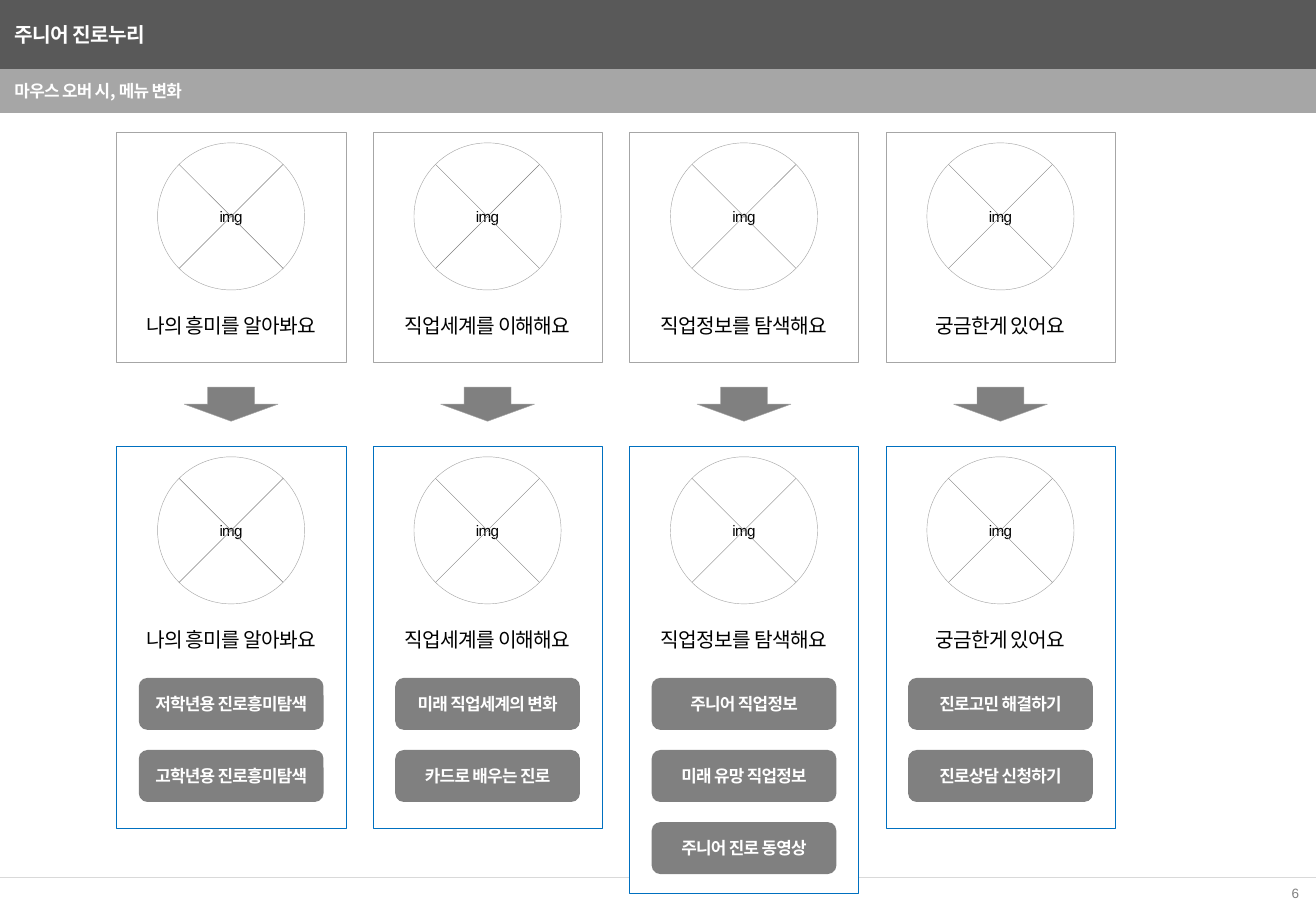
import math
import pptx
import pptx.util
import pptx.dml.color
import pptx.enum.shapes
import pptx.enum.text
import pptx.oxml
import pptx.oxml.ns

TITLE = "주니어 진로누리"
NOTE = "마우스 오버 시, 메뉴 변화"
PAGE = "6"
MENUS = [
    ("나의 흥미를 알아봐요", ["저학년용 진로흥미탐색", "고학년용 진로흥미탐색"]),
    ("직업세계를 이해해요", ["미래 직업세계의 변화", "카드로 배우는 진로"]),
    ("직업정보를 탐색해요", ["주니어 직업정보", "미래 유망 직업정보", "주니어 진로 동영상"]),
    ("궁금한게 있어요", ["진로고민 해결하기", "진로상담 신청하기"]),
]


class Theme:
    """Colours, fonts and type sizes."""
    dark, mid, gray, pale = "595959", "808080", "A6A6A6", "D9D9D9"
    blue, white, black = "0070C0", "FFFFFF", "000000"
    latin, asian = "Arial", "Noto Sans CJK KR"
    head, body, small, page = 12, 10, 9, 8
    hair = 0.25


WIDE, HIGH = 780, 540
BAR, BAND = 41, 26
LEFT, STEP, CARD = 69, 152, 136
TOP, OPEN = 78.5, 264.6
DISC, DISC_Y = 87.2, 6.2
LABEL_W, LABEL_H, LABEL_Y = 132, 21.6, 103.6
BTN_W, BTN_H, BTN_Y, BTN_STEP = 109.5, 30.8, 137.2, 42.75
TALL, TALLER = 226.2, 264.8
ARROW_W, ARROW_H, ARROW_Y = 55.6, 20.2, 229.5

Pt = pptx.util.Pt
Kind = pptx.enum.shapes.MSO_SHAPE
Align = pptx.enum.text.PP_ALIGN


def color(code):
    """Turn a hex code into a colour."""
    return pptx.dml.color.RGBColor.from_string(code)


def write(shape, text, size, ink, bold=False, align=Align.CENTER,
          pad=(0, 0), font=Theme.latin):
    """Put one styled run into a shape."""
    frame = shape.text_frame
    frame.word_wrap = True
    frame.auto_size = pptx.enum.text.MSO_AUTO_SIZE.NONE
    frame.vertical_anchor = pptx.enum.text.MSO_ANCHOR.MIDDLE
    frame.margin_left, frame.margin_right = Pt(pad[0]), Pt(pad[1])
    frame.margin_top = frame.margin_bottom = Pt(3)
    para = frame.paragraphs[0]
    para.alignment = align
    run = para.add_run()
    run.text = text
    run.font.size, run.font.bold = Pt(size), bold
    run.font.name = font
    run.font.color.rgb = color(ink)
    props = run.font._element
    props.set("spc", "-40")
    asian = pptx.oxml.parse_xml(
        f'<a:ea {pptx.oxml.ns.nsdecls("a")} typeface="{Theme.asian}"/>')
    props.find(pptx.oxml.ns.qn("a:latin")).addnext(asian)


def block(home, kind, x, y, w, h, fill=None, edge=None):
    """Add a flat preset shape."""
    shape = home.add_shape(kind, Pt(x), Pt(y), Pt(w), Pt(h))
    shape.shadow.inherit = False
    if fill:
        shape.fill.solid()
        shape.fill.fore_color.rgb = color(fill)
    else:
        shape.fill.background()
    if edge:
        shape.line.color.rgb = color(edge)
        shape.line.width = Pt(Theme.hair)
    else:
        shape.line.fill.background()
    return shape


def rule(home, x1, y1, x2, y2, ink):
    """Add a hairline."""
    line = home.add_connector(pptx.enum.shapes.MSO_CONNECTOR.STRAIGHT,
                              Pt(x1), Pt(y1), Pt(x2), Pt(y2))
    line.line.color.rgb = color(ink)
    line.line.width = Pt(Theme.hair)
    line._element.spPr.append(pptx.oxml.parse_xml(
        f'<a:effectLst {pptx.oxml.ns.nsdecls("a")}/>'))


def disc(home, x, y):
    """Group a round image holder with its two diagonals."""
    group = home.add_group_shape().shapes
    oval = block(group, Kind.OVAL, x, y, DISC, DISC, Theme.white, Theme.gray)
    write(oval, "img", Theme.small, Theme.black)
    near = DISC * (1 - math.sqrt(0.5)) / 2
    far = DISC - near
    rule(group, x + near, y + near, x + far, y + far, Theme.mid)
    rule(group, x + far, y + near, x + near, y + far, Theme.mid)


def card(home, mid, top, high, edge, label, links=()):
    """Draw a menu card with its image holder, label and buttons."""
    block(home, Kind.RECTANGLE, mid - CARD / 2, top, CARD, high,
          Theme.white, edge)
    disc(home, mid - DISC / 2, top + DISC_Y)
    name = block(home, Kind.ROUNDED_RECTANGLE, mid - LABEL_W / 2,
                 top + LABEL_Y, LABEL_W, LABEL_H)
    write(name, label, Theme.head, Theme.black)
    for i, link in enumerate(links):
        button = block(home, Kind.ROUNDED_RECTANGLE, mid - BTN_W / 2,
                       top + BTN_Y + i * BTN_STEP, BTN_W, BTN_H, Theme.mid)
        write(button, link, Theme.body, Theme.white, True)


def frame(slide):
    """Set the title bar, the note band and the footer."""
    home = slide.shapes
    title = home.title
    title.left, title.top = Pt(0), Pt(0)
    title.width, title.height = Pt(WIDE), Pt(BAR)
    title.fill.solid()
    title.fill.fore_color.rgb = color(Theme.dark)
    write(title, TITLE, Theme.head, Theme.white, True, Align.LEFT, (8.6, 6.5))
    band = block(home, Kind.RECTANGLE, 0, BAR, WIDE, BAND, Theme.gray)
    write(band, NOTE, Theme.body, Theme.white, True, Align.LEFT, (8.6, 6.5),
          Theme.asian)
    rule(home, 0, 520, WIDE, 520, Theme.pale)
    page = home.add_textbox(Pt(726.5), Pt(521.5), Pt(50), Pt(16))
    write(page, PAGE, Theme.page, Theme.mid, align=Align.RIGHT, pad=(6.5, 6.5))


def main():
    """Build and save the slide."""
    deck = pptx.Presentation()
    deck.slide_width, deck.slide_height = Pt(WIDE), Pt(HIGH)
    slide = deck.slides.add_slide(deck.slide_layouts[5])
    frame(slide)
    home = slide.shapes
    for i, (label, links) in enumerate(MENUS):
        mid = LEFT + i * STEP + CARD / 2
        card(home, mid, TOP, CARD, Theme.gray, label)
        high = TALLER if len(links) > 2 else TALL
        card(home, mid, OPEN, high, Theme.blue, label, links)
        block(home, Kind.DOWN_ARROW, mid - ARROW_W / 2, ARROW_Y,
              ARROW_W, ARROW_H, Theme.mid, Theme.gray)
    deck.save("out.pptx")


main()
